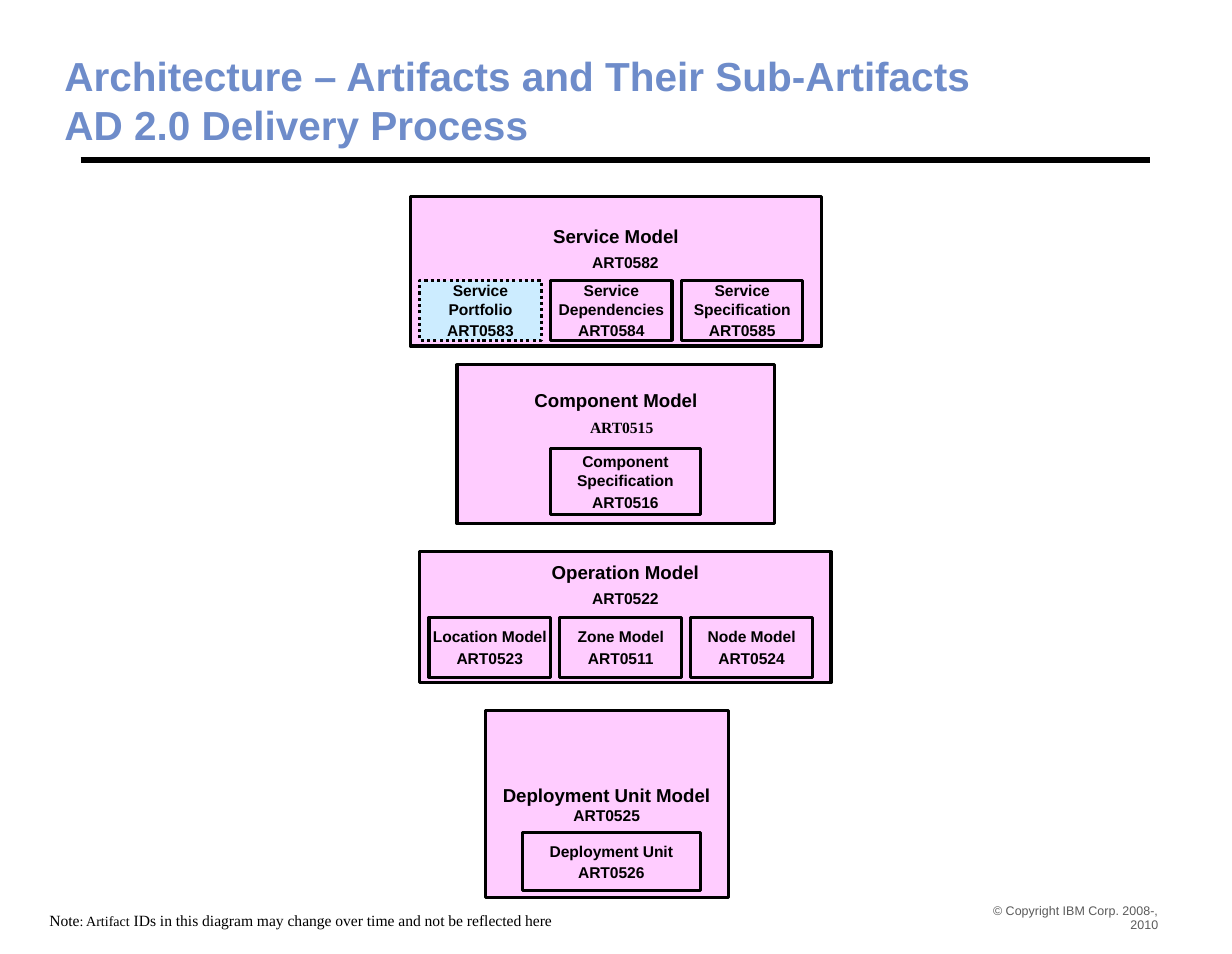
from dataclasses import dataclass

from lxml import etree
from pptx import Presentation
from pptx.dml.color import RGBColor
from pptx.enum.dml import MSO_LINE
from pptx.enum.shapes import MSO_CONNECTOR, MSO_SHAPE
from pptx.enum.text import MSO_ANCHOR, PP_ALIGN
from pptx.oxml.ns import qn
from pptx.util import Inches, Pt

RECT = MSO_SHAPE.RECTANGLE
STRAIGHT = MSO_CONNECTOR.STRAIGHT
DOTS = MSO_LINE.ROUND_DOT
LEFT, CENTER, RIGHT = PP_ALIGN.LEFT, PP_ALIGN.CENTER, PP_ALIGN.RIGHT
TOP, MIDDLE, BOTTOM = MSO_ANCHOR.TOP, MSO_ANCHOR.MIDDLE, MSO_ANCHOR.BOTTOM


@dataclass(frozen=True)
class Theme:
    sans: str = "Arial"
    serif: str = "Times New Roman"
    ink: str = "000000"
    blue: str = "6E8CCA"
    gray: str = "5A5A5A"
    pink: str = "FFCCFF"
    sky: str = "CCECFF"
    title: float = 26
    name: float = 12
    body: float = 10
    small: float = 9
    legal: float = 8
    edge: float = 2
    rule: float = 4
    after: float = 1.9


THEME = Theme()
UNIT = 1 / 12
SHIFT = -0.01
LABEL = 28


def place(box):
    x, y, w, h = box
    return (Inches(x * UNIT + SHIFT), Inches(y * UNIT),
            Inches(w * UNIT), Inches(h * UNIT))


def write(shape, lines, size, font=THEME.sans, color=THEME.ink, bold=True,
          align=CENTER, anchor=MIDDLE, after=THEME.after, wrap=True):
    frame = shape.text_frame
    frame.word_wrap = wrap
    frame.vertical_anchor = anchor
    frame.margin_left = frame.margin_right = 0
    frame.margin_top = frame.margin_bottom = 0
    for i, line in enumerate(lines):
        para = frame.add_paragraph() if i else frame.paragraphs[0]
        para.alignment = align
        para.space_after = Pt(after)
        para.font.name = font
        para.font.size = Pt(size)
        para.font.bold = bold
        para.font.color.rgb = RGBColor.from_string(color)
        for text, scale in line:
            run = para.add_run()
            run.text = text
            if scale != size:
                run.font.size = Pt(scale)


def label(slide, box, text, size, **style):
    shape = slide.shapes.add_textbox(*place(box))
    write(shape, [[(line, size)] for line in text], size, **style)


def block(slide, box, fill=THEME.pink, dots=False):
    shape = slide.shapes.add_shape(RECT, *place(box))
    shape.shadow.inherit = False
    shape.fill.solid()
    shape.fill.fore_color.rgb = RGBColor.from_string(fill)
    shape.line.color.rgb = RGBColor.from_string(THEME.ink)
    shape.line.width = Pt(THEME.edge)
    if dots:
        shape.line.dash_style = DOTS
    return shape


def parts(slide, box, items, draft=None):
    x, y, w, h = box
    for i, (name, code) in enumerate(items):
        dots = code == draft
        fill = THEME.sky if dots else THEME.pink
        shape = block(slide, (x + i * (w + 1), y, w, h), fill, dots)
        write(shape, [[(name, THEME.body)], [(code, THEME.body)]], THEME.body)


def heading(slide, box, name, code, near, far, font=THEME.sans):
    x, y = box[:2]
    label(slide, (x + near[0], y + near[1], LABEL, 2.4), [name], THEME.name)
    label(slide, (x + far[0], y + far[1], LABEL, 2), [code], THEME.body,
          font=font)


def service(slide, box):
    x, y = box[:2]
    block(slide, box)
    heading(slide, box, "Service Model", "ART0582", (8, 3), (9, 6))
    parts(slide, (x + 1, y + 9, 13, 6.4),
          [("Service Portfolio", "ART0583"),
           ("Service Dependencies", "ART0584"),
           ("Service Specification", "ART0585")], "ART0583")


def component(slide, box):
    x, y = box[:2]
    block(slide, box)
    heading(slide, box, "Component Model", "ART0515", (3, 2.6), (3.6, 5.7),
            THEME.serif)
    parts(slide, (x + 10, y + 9, 16, 7),
          [("Component Specification", "ART0516")])


def operation(slide, box):
    x, y = box[:2]
    block(slide, box)
    heading(slide, box, "Operation Model", "ART0522", (8, 1), (8, 4))
    parts(slide, (x + 1, y + 7, 13, 6.4),
          [("Location Model", "ART0523"), ("Zone Model", "ART0511"),
           ("Node Model", "ART0524")])


def deploy(slide, box):
    x, y = box[:2]
    shape = block(slide, box)
    write(shape, [[("Deployment Unit Model", THEME.name),
                   (" ART0525", THEME.body)]], THEME.name)
    parts(slide, (x + 4, y + 13, 19, 6.25), [("Deployment Unit", "ART0526")])


def header(slide, box):
    x, y, w, h = box
    label(slide, box, ["Architecture – Artifacts and Their Sub-Artifacts",
                       "AD 2.0 Delivery Process"], THEME.title,
          color=THEME.blue, align=LEFT, anchor=BOTTOM, after=0)
    left, top, wide, _ = place((x + 1.75, y + h + 1.2, w - 3.6, 0))
    rule = slide.shapes.add_connector(STRAIGHT, left, top, left + wide, top)
    rule.line.color.rgb = RGBColor.from_string(THEME.ink)
    rule.line.width = Pt(THEME.rule)
    etree.SubElement(rule._element.spPr, qn("a:effectLst"))


def footer(slide, box):
    x, y, w, h = box
    note = slide.shapes.add_textbox(*place((x, y + 0.9, 56, 2)))
    write(note, [[("Note", THEME.body), (": Artifact", THEME.small),
                  (" IDs in this diagram may change over time and not be "
                   "reflected here", THEME.body)]], THEME.body,
          font=THEME.serif, bold=False, align=LEFT, anchor=TOP, after=0,
          wrap=False)
    label(slide, (x + w - 20.4, y, 20.4, h),
          ["© Copyright IBM Corp. 2008-, 2010"], THEME.legal,
          color=THEME.gray, bold=False, align=RIGHT, anchor=TOP)


def main():
    deck = Presentation()
    deck.slide_width, deck.slide_height = Inches(10.98), Inches(8.5)
    slide = deck.slides.add_slide(deck.slide_layouts[6])
    header(slide, (7, 5.5, 118, 10.4))
    service(slide, (44, 21, 44, 16))
    component(slide, (49, 39, 34, 17))
    operation(slide, (45, 59, 44, 14))
    deploy(slide, (52, 76, 26, 20))
    footer(slide, (5.4, 96.5, 118.6, 3.2))
    deck.save("out.pptx")


if __name__ == "__main__":
    main()
